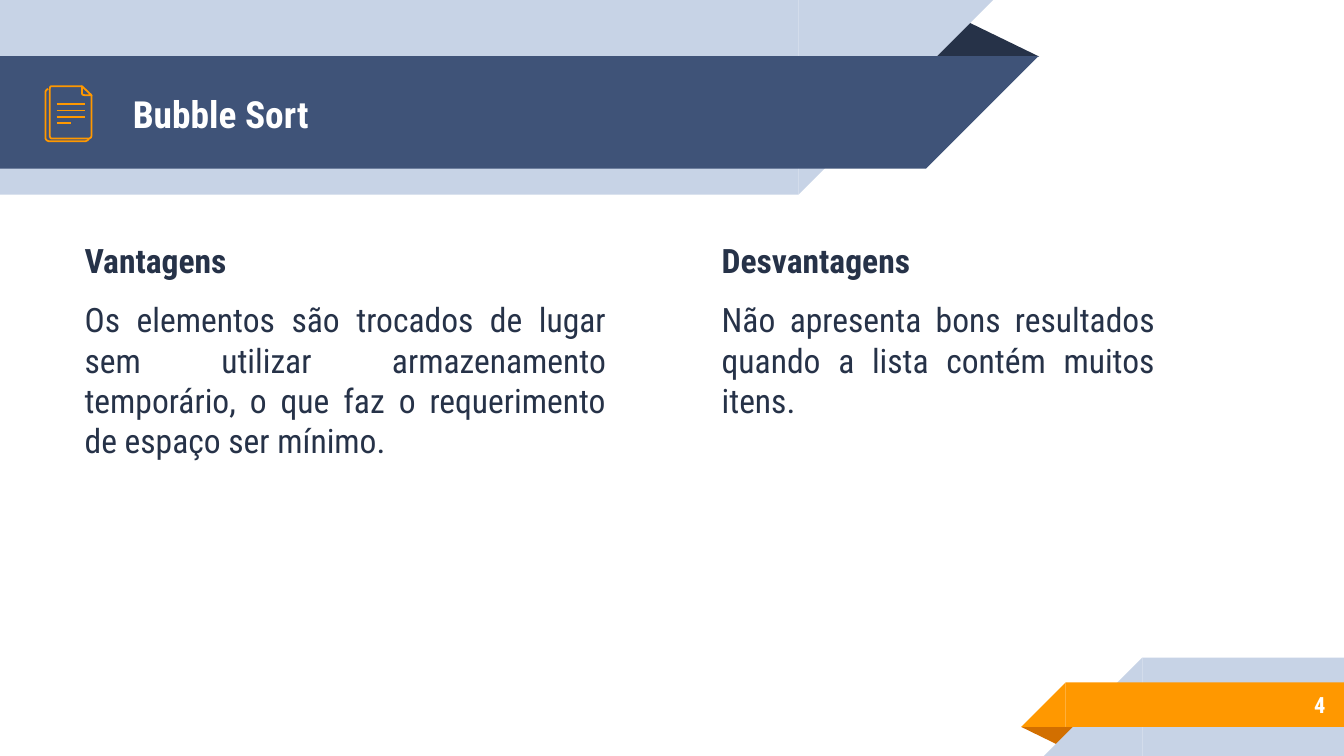
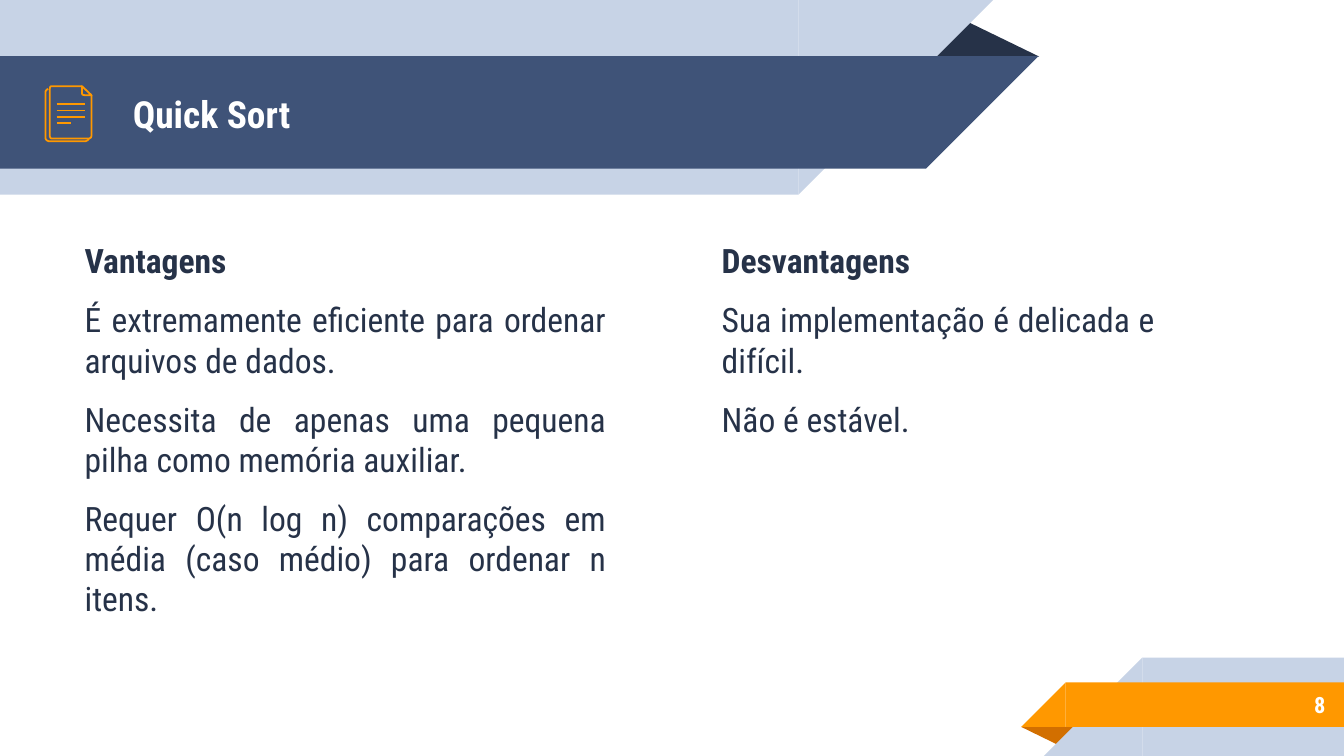
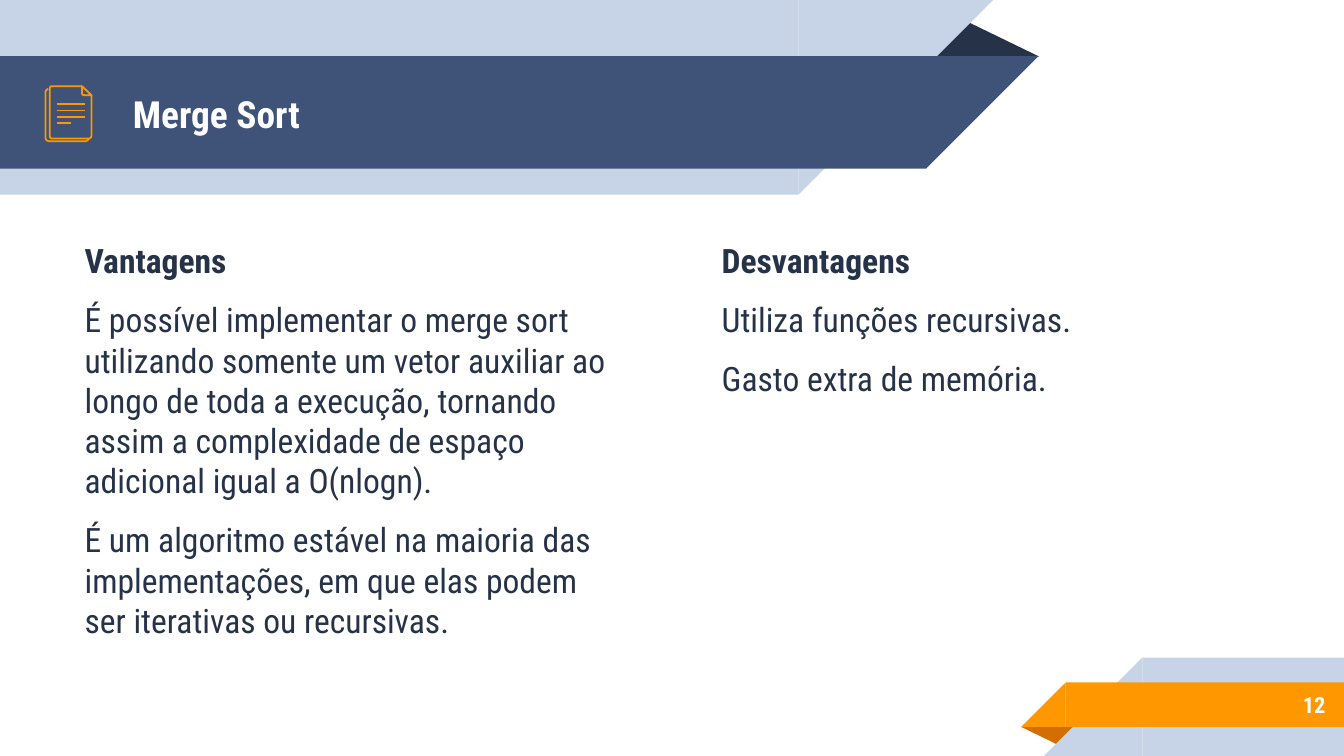
from dataclasses import dataclass

from lxml import etree
from pptx import Presentation
from pptx import util as u
from pptx.dml.color import RGBColor
from pptx.enum import shapes, text
from pptx.oxml import ns


@dataclass(frozen=True)
class Theme:
    font: str = "Roboto Condensed"
    white: str = "FFFFFF"
    ink: str = "263248"
    navy: str = "3F5378"
    pale: str = "C7D3E6"
    orange: str = "FF9800"
    rust: str = "D26F00"
    title_size: int = 20
    body_size: int = 18
    number_size: int = 12
    icon_line: float = 0.96
    inset: float = 0.25


THEME = Theme()
KIND = shapes.MSO_SHAPE
ALIGN = text.PP_ALIGN
ANCHOR = text.MSO_ANCHOR

BACK_PAGE = [(1.68, 2.62), (1.66, 2.65), (1.62, 2.67), (0.92, 2.67), (0.88, 2.65),
             (0.86, 2.62), (0.86, 1.73), (0.88, 1.7), (0.91, 1.68)]
FRONT_PAGE = [(1.73, 1.8), (1.73, 2.57), (1.72, 2.6), (1.69, 2.62), (0.97, 2.62),
              (0.95, 2.6), (0.94, 2.57), (0.94, 1.68), (0.95, 1.64), (0.97, 1.63),
              (1.55, 1.63)]
PAGE_CORNER = [(1.55, 1.63), (1.73, 1.8), (1.6, 1.8), (1.56, 1.79), (1.55, 1.77)]
PAGE_LINE_ENDS = [1.6, 1.6, 1.6, 1.35]

COLUMNS = {"Vantagens": (1.35, 10.36), "Desvantagens": (13.39, 8.69)}

SLIDES = [
    ("Bubble Sort", 4, {
        "Vantagens": (ALIGN.JUSTIFY, [
            "Os elementos são trocados de lugar sem utilizar armazenamento temporário, "
            "o que faz o requerimento de espaço ser mínimo."]),
        "Desvantagens": (ALIGN.JUSTIFY, [
            "Não apresenta bons resultados quando a lista contém muitos itens."]),
    }),
    ("Quick Sort", 8, {
        "Vantagens": (ALIGN.JUSTIFY, [
            "É extremamente eficiente para ordenar arquivos de dados.",
            "Necessita de apenas uma pequena pilha como memória auxiliar.",
            "Requer O(n log n) comparações em média (caso médio) para ordenar n itens."]),
        "Desvantagens": (ALIGN.JUSTIFY, [
            "Sua implementação é delicada e difícil.",
            "Não é estável."]),
    }),
    ("Merge Sort", 12, {
        "Vantagens": (ALIGN.LEFT, [
            "É possível implementar o merge sort utilizando somente um vetor auxiliar "
            "ao longo de toda a execução, tornando assim a complexidade de espaço "
            "adicional igual a O(nlogn).",
            "É um algoritmo estável na maioria das implementações, em que elas podem "
            "ser iterativas ou recursivas."]),
        "Desvantagens": (ALIGN.JUSTIFY, [
            "Utiliza funções recursivas.",
            "Gasto extra de memória."]),
    }),
]


def apply(target, values):
    for name, value in values.items():
        setattr(target, name, value)


class Deck:
    def __init__(self, theme):
        self.theme = theme
        self.show = Presentation()
        apply(self.show, {"slide_width": u.Cm(25.4), "slide_height": u.Cm(14.29)})
        self.slide = None

    def new_slide(self):
        self.slide = self.show.slides.add_slide(self.show.slide_layouts[6])

    def group(self):
        return self.slide.shapes.add_group_shape().shapes

    def block(self, group, kind, box, colour, rotation=0):
        block = group.add_shape(kind, *map(u.Cm, box))
        block.shadow.inherit = False
        block.fill.solid()
        block.fill.fore_color.rgb = RGBColor.from_string(colour)
        block.line.fill.background()
        block.rotation = rotation
        return block

    def fold(self, group, box, colour, rotation=0):
        self.block(group, KIND.ISOSCELES_TRIANGLE, box, colour, rotation).adjustments[0] = 0.324

    def ribbon(self, group, box, colour, points_right):
        left, top, width, height = box
        tip_left, turn = (left + width, 90) if points_right else (left - height, 270)
        self.block(group, KIND.RECTANGLE, box, colour)
        self.block(group, KIND.RIGHT_TRIANGLE, (tip_left, top, height, height), colour, turn)

    def stroke(self, line):
        line.color.rgb = RGBColor.from_string(self.theme.orange)
        line.width = u.Pt(self.theme.icon_line)

    def outline(self, group, points, close=False):
        start, *rest = [(u.Cm(x), u.Cm(y)) for x, y in points]
        builder = group.build_freeform(*start)
        builder.add_line_segments(rest, close=close)
        outline = builder.convert_to_shape()
        outline.shadow.inherit = False
        outline.fill.background()
        self.stroke(outline.line)

    def rule(self, group, left, right, y):
        rule = group.add_connector(shapes.MSO_CONNECTOR.STRAIGHT,
                                   *map(u.Cm, (left, y, right, y)))
        self.stroke(rule.line)
        etree.SubElement(rule._element.spPr, ns.qn("a:effectLst"))

    def add_text(self, box, paragraphs, size, colour, anchor=ANCHOR.TOP):
        frame = self.slide.shapes.add_textbox(*map(u.Cm, box)).text_frame
        apply(frame, {"word_wrap": True, "vertical_anchor": anchor})
        apply(frame, {f"margin_{side}": u.Cm(self.theme.inset)
                      for side in ("left", "top", "right", "bottom")})
        for index, (words, bold, align, before) in enumerate(paragraphs):
            paragraph = frame.add_paragraph() if index else frame.paragraphs[0]
            apply(paragraph, {"alignment": align, "space_before": u.Pt(before)})
            run = paragraph.add_run()
            run.text = words
            apply(run.font, {"name": self.theme.font, "size": u.Pt(size), "bold": bold})
            run.font.color.rgb = RGBColor.from_string(colour)

    def header(self, title):
        band = self.group()
        self.fold(band, (17.48, 0.36, 2.16, 0.71), self.theme.ink)
        self.ribbon(band, (0, 0, 15.09, 3.68), self.theme.pale, True)
        self.ribbon(band, (0, 1.06, 17.5, 2.13), self.theme.navy, True)
        self.add_text((2.26, 1.09, 14.61, 2.13), [(title, True, ALIGN.LEFT, 0)],
                      self.theme.title_size, self.theme.white, ANCHOR.MIDDLE)

    def footer(self, number):
        band = self.group()
        self.fold(band, (19.3, 13.74, 1.09, 0.36), self.theme.rust, 180)
        self.ribbon(band, (21.59, 12.43, 3.81, 1.86), self.theme.pale, False)
        self.ribbon(band, (20.14, 12.9, 5.26, 0.84), self.theme.orange, False)
        self.add_text((21.16, 12.88, 4.14, 0.89), [(str(number), True, ALIGN.RIGHT, 0)],
                      self.theme.number_size, self.theme.white, ANCHOR.MIDDLE)

    def column(self, heading, align, points):
        left, width = COLUMNS[heading]
        paragraphs = [(heading, True, ALIGN.LEFT, 6)]
        paragraphs += [(point, False, align, 10) for point in points]
        self.add_text((left, 4.29, width, 7.52), paragraphs,
                      self.theme.body_size, self.theme.ink)

    def document_icon(self):
        icon = self.group()
        self.outline(icon, BACK_PAGE)
        self.outline(icon, FRONT_PAGE)
        for row, right in enumerate(PAGE_LINE_ENDS):
            self.rule(icon, 1.07, right, 1.97 + 0.12 * row)
        self.outline(icon, PAGE_CORNER, close=True)


def main():
    deck = Deck(THEME)
    for title, number, columns in SLIDES:
        deck.new_slide()
        deck.header(title)
        deck.footer(number)
        for heading, (align, points) in columns.items():
            deck.column(heading, align, points)
        deck.document_icon()
    deck.show.save("out.pptx")


if __name__ == "__main__":
    main()
